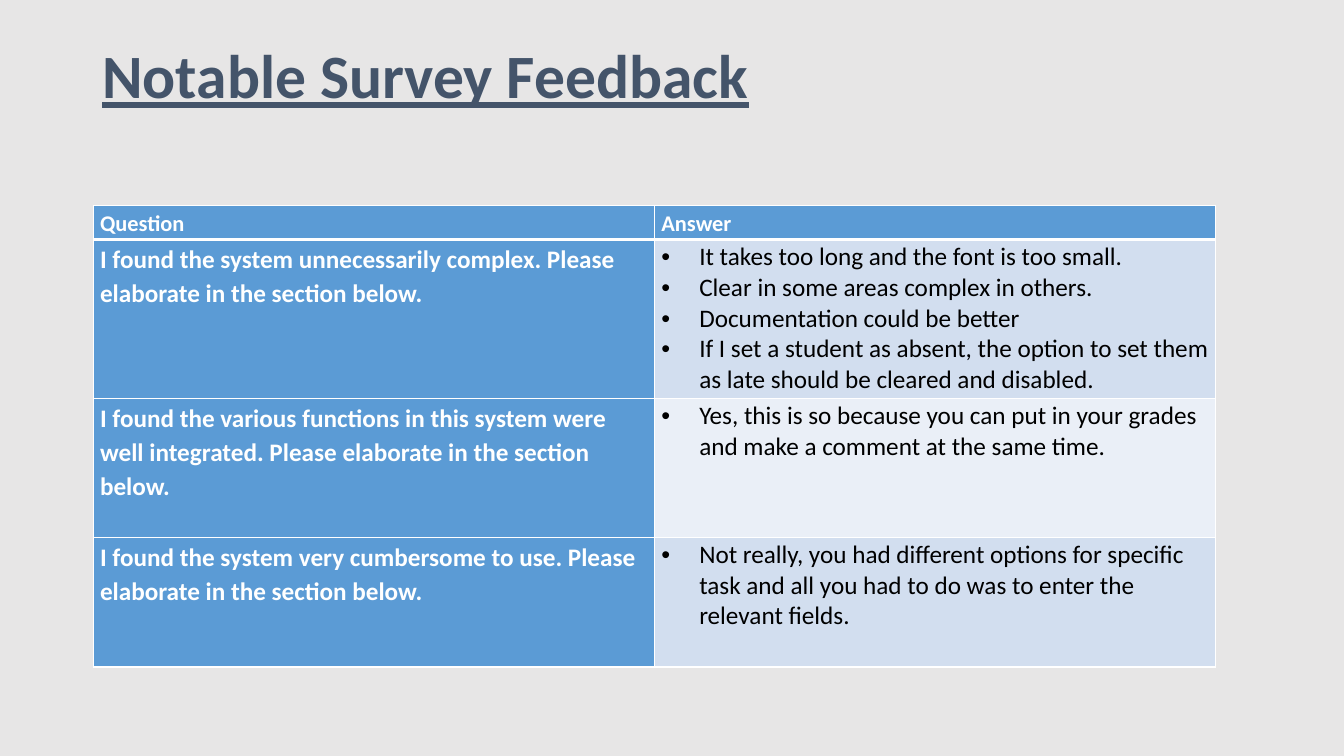
from dataclasses import dataclass

from lxml import etree
from pptx import Presentation
from pptx.dml.color import RGBColor
from pptx.enum.text import MSO_ANCHOR
from pptx.oxml.ns import qn
from pptx.slide import Slide
from pptx.table import _Cell
from pptx.text.text import _Paragraph
from pptx.util import Pt

TOP = MSO_ANCHOR.TOP


@dataclass(frozen=True)
class Theme:
    font: str = "Calibri"
    background: str = "E7E6E6"
    title: str = "44546A"
    accent: str = "5B9BD5"
    bands: tuple[str, str] = ("D2DEEF", "EAEFF7")
    light: str = "FFFFFF"
    dark: str = "000000"
    title_size: int = 44
    header_size: int = 16
    body_size: int = 18


@dataclass(frozen=True)
class Feedback:
    question: str
    answers: tuple[str, ...]
    height: float


THEME = Theme()
HEADINGS = ("Question", "Answer")
HEADER_HEIGHT = 24
COLUMN_WIDTH = 401
BULLET_INDENT = 27
THIN, THICK = 1, 3
CELL_FORMAT = {
    "margin_left": Pt(5),
    "margin_right": Pt(5),
    "margin_top": Pt(1.5),
    "margin_bottom": Pt(1.5),
    "vertical_anchor": TOP,
}
FEEDBACK = (
    Feedback(
        "I found the system unnecessarily complex. Please elaborate in the section below.",
        (
            "It takes too long and the font is too small.",
            "Clear in some areas complex in others.",
            "Documentation could be better",
            "If I set a student as absent, the option to set them as late "
            "should be cleared and disabled.",
        ),
        113.5,
    ),
    Feedback(
        "I found the various functions in this system were well integrated. "
        "Please elaborate in the section below.",
        ("Yes, this is so because you can put in your grades and make a comment "
         "at the same time.",),
        99.3,
    ),
    Feedback(
        "I found the system very cumbersome to use. Please elaborate in the section below.",
        ("Not really, you had different options for specific task and all you had "
         "to do was to enter the relevant fields.",),
        92.5,
    ),
)


def write(paragraph: _Paragraph, text: str, size: int, color: str,
          bold: bool = False, underline: bool = False) -> None:
    run = paragraph.add_run()
    run.text = text
    font_format = {"name": THEME.font, "size": Pt(size), "bold": bold, "underline": underline}
    for attribute, value in font_format.items():
        setattr(run.font, attribute, value)
    run.font.color.rgb = RGBColor.from_string(color)


def add_bullet(paragraph: _Paragraph) -> None:
    properties = paragraph._p.get_or_add_pPr()
    properties.set("marL", str(Pt(BULLET_INDENT)))
    properties.set("indent", str(-Pt(BULLET_INDENT)))
    etree.SubElement(properties, qn("a:buFont"), typeface="Arial")
    etree.SubElement(properties, qn("a:buChar"), char="•")


def format_cell(cell: _Cell, fill: str, top: float = THIN, bottom: float = THIN) -> None:
    """Set margins, fill and the four borders, with given top and bottom widths."""
    for attribute, value in CELL_FORMAT.items():
        setattr(cell, attribute, value)
    cell.fill.solid()
    cell.fill.fore_color.rgb = RGBColor.from_string(fill)
    properties = cell._tc.get_or_add_tcPr()
    borders = {"a:lnL": THIN, "a:lnR": THIN, "a:lnT": top, "a:lnB": bottom}
    for position, (tag, width) in enumerate(borders.items()):
        border = etree.Element(qn(tag), w=str(Pt(width)))
        line_fill = etree.SubElement(border, qn("a:solidFill"))
        etree.SubElement(line_fill, qn("a:srgbClr"), val=THEME.light)
        properties.insert(position, border)


def write_label(cell: _Cell, text: str, size: int) -> None:
    paragraph = cell.text_frame.paragraphs[0]
    paragraph.line_spacing = 1.1
    write(paragraph, text, size, THEME.light, bold=True)


def write_answers(cell: _Cell, answers: tuple[str, ...]) -> None:
    frame = cell.text_frame
    for index, answer in enumerate(answers):
        paragraph = frame.add_paragraph() if index else frame.paragraphs[0]
        add_bullet(paragraph)
        write(paragraph, answer, THEME.body_size, THEME.dark)


def add_title(slide: Slide) -> None:
    frame = slide.shapes.add_textbox(Pt(66), Pt(29), Pt(828), Pt(104)).text_frame
    frame.word_wrap = True
    frame.vertical_anchor = TOP
    heading = frame.paragraphs[0]
    heading.line_spacing = 0.9
    write(heading, "Notable Survey Feedback", THEME.title_size, THEME.title,
          bold=True, underline=True)


def add_feedback_table(slide: Slide) -> None:
    heights = [HEADER_HEIGHT, *(entry.height for entry in FEEDBACK)]
    table = slide.shapes.add_table(
        len(heights), len(HEADINGS), Pt(66.5), Pt(147),
        Pt(COLUMN_WIDTH * len(HEADINGS)), Pt(sum(heights)),
    ).table
    table.first_col = True
    for column in table.columns:
        column.width = Pt(COLUMN_WIDTH)
    for row, height in zip(table.rows, heights):
        row.height = Pt(height)

    for column, heading in enumerate(HEADINGS):
        header = table.cell(0, column)
        format_cell(header, THEME.accent, bottom=THICK)
        write_label(header, heading, THEME.header_size)

    for index, entry in enumerate(FEEDBACK):
        question, answer = table.cell(index + 1, 0), table.cell(index + 1, 1)
        top = THIN if index else THICK
        format_cell(question, THEME.accent, top=top)
        format_cell(answer, THEME.bands[index % 2], top=top)
        write_label(question, entry.question, THEME.body_size)
        write_answers(answer, entry.answers)


def main() -> None:
    presentation = Presentation()
    presentation.slide_width = Pt(960)
    presentation.slide_height = Pt(540)
    slide = presentation.slides.add_slide(presentation.slide_layouts[6])
    slide.background.fill.solid()
    slide.background.fill.fore_color.rgb = RGBColor.from_string(THEME.background)
    add_title(slide)
    add_feedback_table(slide)
    presentation.save("out.pptx")


if __name__ == "__main__":
    main()
